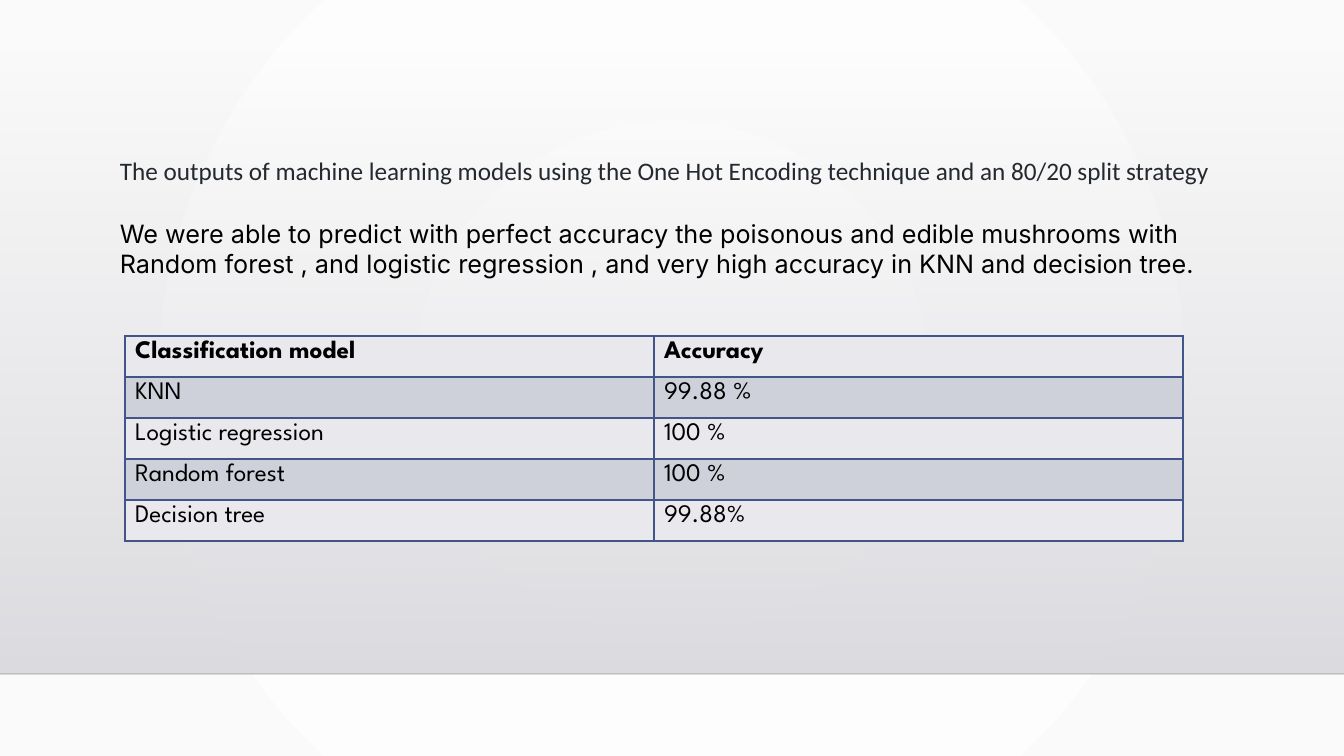
from dataclasses import dataclass

from lxml.etree import SubElement
from pptx import Presentation
from pptx.dml.color import RGBColor
from pptx.enum.shapes import MSO_CONNECTOR, MSO_SHAPE
from pptx.enum.text import MSO_AUTO_SIZE
from pptx.oxml import parse_xml
from pptx.oxml.ns import nsdecls, qn
from pptx.slide import Slide
from pptx.table import _Cell
from pptx.text.text import _Paragraph
from pptx.util import Emu, Pt

WIDE, HIGH = 1344, 756
SCALE = 12192000 / WIDE
COLORS = {
    "white": "FFFFFF", "edge": "FAFAFA", "mist": "DCDCE0", "fog": "DEDEE2",
    "rule": "000001", "black": "000000", "ink": "24292F",
    "light": "E9E9ED", "dark": "CFD1DA", "border": "415588",
}
ROWS = [
    ("Classification model", "Accuracy"),
    ("KNN", "99.88 %"),
    ("Logistic regression", "100 %"),
    ("Random forest", "100 %"),
    ("Decision tree", "99.88%"),
]
COL_PX, ROW_PX = 529, 41


@dataclass
class Note:
    left: int
    top: int
    width: int
    height: int
    text: str
    font: str
    color: str
    wrap: bool


NOTES = [
    Note(110, 150, 1124, 40,
         "The outputs of machine learning models using the One Hot Encoding "
         "technique and an 80/20 split strategy", "Calibri", "ink", False),
    Note(110, 213, 1100, 72,
         "We were able to predict with perfect accuracy the poisonous and edible "
         "mushrooms with Random forest , and logistic regression , and very high "
         "accuracy in KNN and decision tree.", "Inter", "black", True),
]


def px(count: int) -> Emu:
    return Emu(round(count * SCALE))


def rgb(name: str) -> RGBColor:
    return RGBColor.from_string(COLORS[name])


def add_run(para: _Paragraph, text: str, font: str, color: str, bold: bool = False) -> None:
    run = para.add_run()
    run.text = text
    run.font.name, run.font.size, run.font.bold = font, Pt(18), bold
    run.font.color.rgb = rgb(color)


def fade(first: str, last: str, alpha: int, shade: str) -> str:
    """Return gradient XML; alpha is the opacity of the first stop in percent."""
    return (
        f'<a:gradFill {nsdecls("a")} rotWithShape="1"><a:gsLst>'
        f'<a:gs pos="0"><a:srgbClr val="{COLORS[first]}">'
        f'<a:alpha val="{alpha * 1000}"/></a:srgbClr></a:gs>'
        f'<a:gs pos="100000"><a:srgbClr val="{COLORS[last]}"/></a:gs>'
        f'</a:gsLst>{shade}</a:gradFill>'
    )


def add_back(slide: Slide) -> None:
    fill = slide.background.fill
    fill.solid()
    old = slide.element.find(".//" + qn("p:bgPr")).find(qn("a:solidFill"))
    shade = ('<a:path path="circle"><a:fillToRect l="50000" t="50000" '
             'r="50000" b="50000"/></a:path>')
    old.getparent().replace(old, parse_xml(fade("white", "edge", 100, shade)))


def add_panel(slide: Slide) -> None:
    panel = slide.shapes.add_shape(MSO_SHAPE.RECTANGLE, 0, px(51), px(WIDE), px(623))
    panel.shadow.inherit = False
    panel.line.fill.background()
    panel.fill.solid()
    old = panel.element.spPr.find(qn("a:solidFill"))
    shade = '<a:lin ang="5400000" scaled="0"/>'
    old.getparent().replace(old, parse_xml(fade("mist", "fog", 0, shade)))


def add_rule(slide: Slide) -> None:
    rule = slide.shapes.add_connector(
        MSO_CONNECTOR.STRAIGHT, 0, px(674), px(WIDE), px(674))
    rule.line.width = Pt(1)
    rule.line.color.rgb = rgb("rule")
    props = rule.element.spPr
    SubElement(props.find(".//" + qn("a:srgbClr")), qn("a:alpha"), val="20000")
    SubElement(props, qn("a:effectLst"))


def add_border(cell: _Cell) -> None:
    props = cell._tc.get_or_add_tcPr()
    for place, side in enumerate("LRTB"):
        props.insert(place, parse_xml(
            f'<a:ln{side} {nsdecls("a")} w="{Pt(1)}"><a:solidFill>'
            f'<a:srgbClr val="{COLORS["border"]}"/></a:solidFill></a:ln{side}>'))


def add_scores(slide: Slide) -> None:
    count, span = len(ROWS), len(ROWS[0])
    table = slide.shapes.add_table(
        count, span, px(125), px(336), px(span * COL_PX), px(count * ROW_PX)).table
    for col in table.columns:
        col.width = px(COL_PX)
    for r, texts in enumerate(ROWS):
        table.rows[r].height = px(ROW_PX)
        for c, text in enumerate(texts):
            cell = table.cell(r, c)
            cell.fill.solid()
            cell.fill.fore_color.rgb = rgb("dark" if r % 2 else "light")
            add_border(cell)
            add_run(cell.text_frame.paragraphs[0], text, "League Spartan", "black", r == 0)


def add_note(slide: Slide, note: Note) -> None:
    box = slide.shapes.add_textbox(
        px(note.left), px(note.top), px(note.width), px(note.height))
    frame = box.text_frame
    frame.word_wrap = note.wrap
    frame.auto_size = MSO_AUTO_SIZE.SHAPE_TO_FIT_TEXT
    add_run(frame.paragraphs[0], note.text, note.font, note.color)


def main() -> None:
    deck = Presentation()
    deck.slide_width, deck.slide_height = px(WIDE), px(HIGH)
    slide = deck.slides.add_slide(deck.slide_layouts[6])
    add_back(slide)
    add_panel(slide)
    add_rule(slide)
    add_scores(slide)
    for note in NOTES:
        add_note(slide, note)
    deck.save("out.pptx")


if __name__ == "__main__":
    main()
